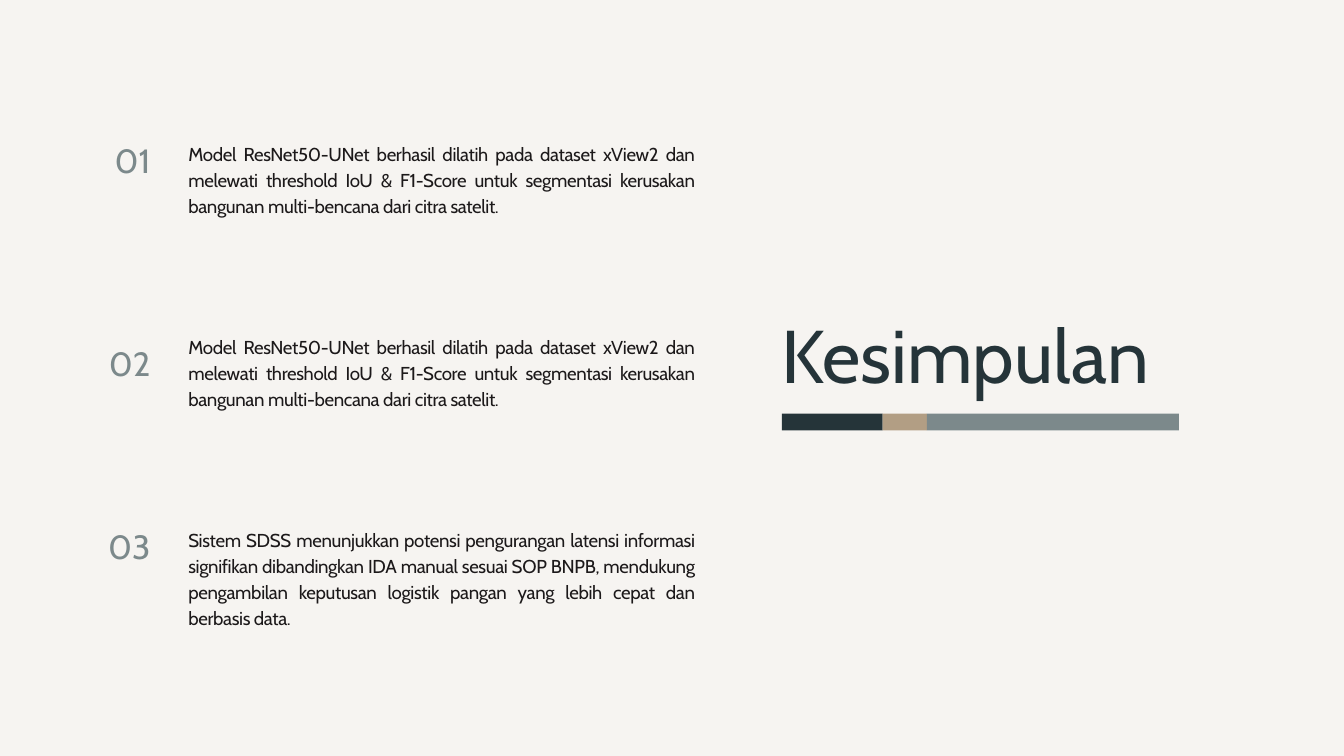
from pptx import Presentation
from pptx.dml.color import RGBColor
from pptx.enum.shapes import MSO_SHAPE as Shape
from pptx.enum.text import MSO_AUTO_SIZE as Fit, PP_ALIGN as Align
from pptx.util import Pt

PX = 9525  # EMU in one px, 96 px to the inch
NAVY, GRAY, TAN, INK, PAPER = "253439", "7C898B", "B29E84", "1C191A", "F6F4F1"


def tint(code):
    return RGBColor.from_string(code)


def put(thing, vals):
    for key, val in vals.items():
        setattr(thing, key, val)


class Deck:
    face = "Cabin"

    def __init__(self, wide, high):
        self.prs = Presentation()
        put(self.prs, {"slide_width": wide * PX, "slide_height": high * PX})
        self.slide = None

    def page(self, color):
        self.slide = self.prs.slides.add_slide(self.prs.slide_layouts[6])
        fill = self.slide.background.fill
        fill.solid()
        fill.fore_color.rgb = tint(color)

    def text(self, box, words, size, color, lead, align=Align.JUSTIFY, track=0):
        frame = self.slide.shapes.add_textbox(*(n * PX for n in box)).text_frame
        put(frame, {"word_wrap": True, "auto_size": Fit.SHAPE_TO_FIT_TEXT,
                    "margin_left": 0, "margin_top": 0,
                    "margin_right": 0, "margin_bottom": 0})
        para = frame.paragraphs[0]
        put(para, {"alignment": align, "line_spacing": Pt(lead)})
        run = para.add_run()
        run.text = words
        put(run.font, {"name": self.face, "size": Pt(size)})
        run.font.color.rgb = tint(color)
        if track:
            run._r.get_or_add_rPr().set("spc", str(track))

    def bar(self, box, color):
        rect = self.slide.shapes.add_shape(Shape.RECTANGLE, *(n * PX for n in box))
        rect.shadow.inherit = False
        rect.fill.solid()
        rect.fill.fore_color.rgb = tint(color)
        rect.line.fill.background()


def main():
    deck = Deck(1920, 1080)
    deck.page(PAPER)

    # Title
    deck.text((1117, 463, 639, 111), "Kesimpulan", 80, NAVY, 80)

    # Numbered points: number top, body top, body height, words
    model = ("Model ResNet50-UNet berhasil dilatih pada dataset xView2 dan "
             "melewati threshold IoU & F1-Score untuk segmentasi kerusakan "
             "bangunan multi-bencana dari citra satelit.")
    system = ("Sistem SDSS menunjukkan potensi pengurangan latensi informasi "
              "signifikan dibandingkan IDA manual sesuai SOP BNPB, mendukung "
              "pengambilan keputusan logistik pangan yang lebih cepat dan "
              "berbasis data.")
    points = [(210, 199, 109, model), (499, 474, 109, model), (761, 750, 147, system)]
    for num, (top, body, high, words) in enumerate(points, 1):
        deck.text((107, top, 108, 51), f"{num:02}", 36, GRAY, 36, Align.RIGHT)
        deck.text((269, body, 723, high), words, 20, INK, 28, track=-40)

    # Three-colour rule under the title
    left = 1117
    for wide, color in [(144, NAVY), (63, TAN), (360, GRAY)]:
        deck.bar((left, 591, wide, 24), color)
        left += wide

    deck.prs.save("out.pptx")


if __name__ == "__main__":
    main()
